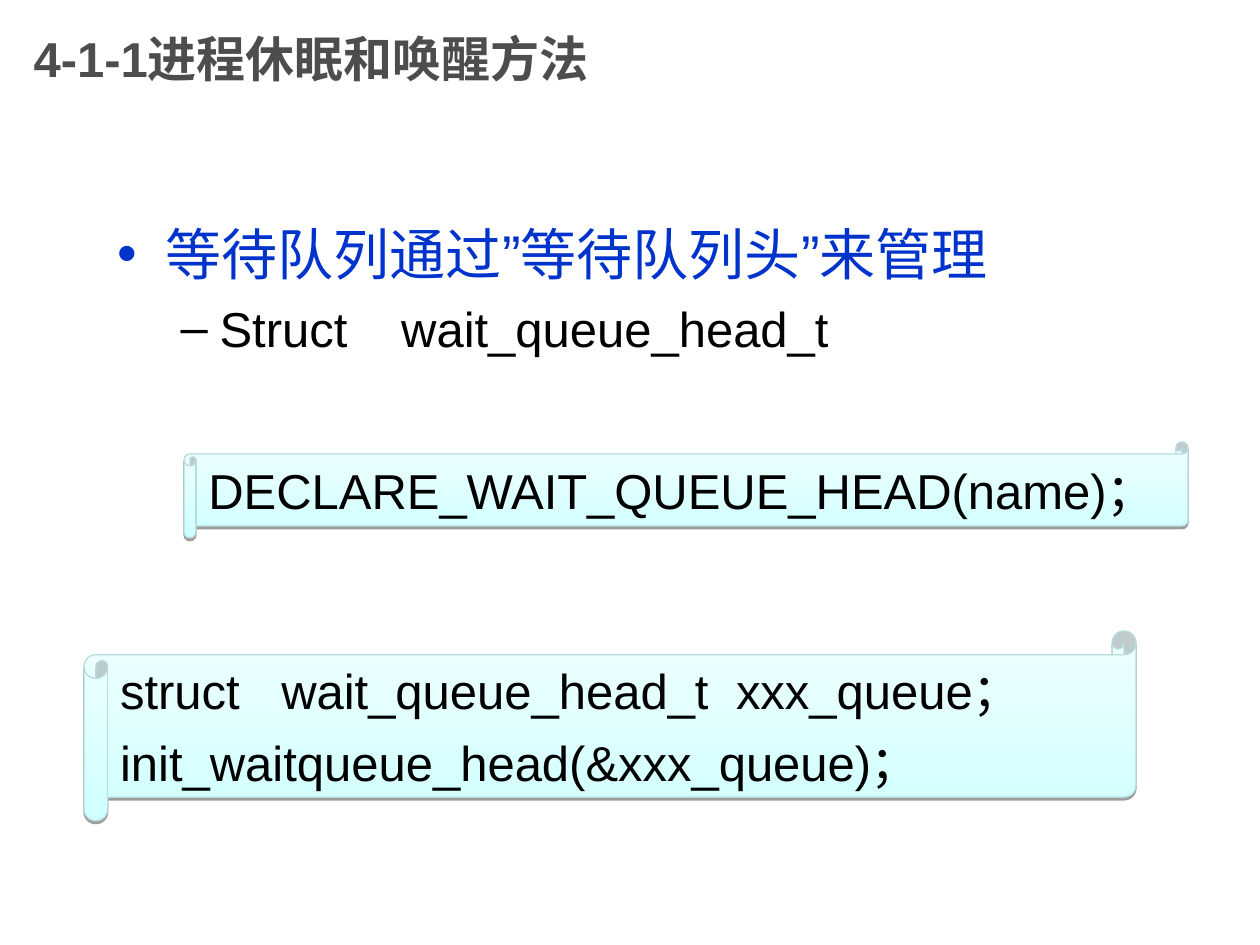
from lxml.etree import SubElement
from pptx import Presentation
from pptx.dml.color import RGBColor
from pptx.enum.shapes import MSO_SHAPE
from pptx.enum.text import MSO_ANCHOR, MSO_AUTO_SIZE, PP_ALIGN
from pptx.oxml.ns import qn
from pptx.util import Emu, Pt

PX = 914400 // 126
FONT = "Arial"
COLORS = {
    "title": "4D4D4D",
    "topic": "0033CC",
    "text": "000000",
    "scroll_bottom": "CFFFFF",
    "scroll_top": "F0FFFF",
    "scroll_line": "B6DCDF",
}

TITLE = ["4-1-1进程休眠和唤醒方法"]
TITLE_BOX = (21, 0, 945, 116)
TITLE_FORMAT = {"size": 28, "color": "title", "bold": True}

BODY_BOX = (105, 155, 1071, 651)
BODY_TOP_INSET = 64
BODY = [
    (["等待队列通过”等待队列头”来管理"],
     {"size": 32, "color": "topic", "before": 8, "level": 0, "indent": (48, -48)}),
    (["Struct", 23, "wait_queue_head_t"],
     {"size": 28, "color": "text", "before": 7, "level": 1, "indent": (102, -39)}),
]

SCROLLS = [
    ((184, 442, 1004, 96), [["DECLARE_WAIT_QUEUE_HEAD(name)；"]]),
    ((84, 631, 1052, 190), [
        ["struct", 16, "wait_queue_head_t", 8, "xxx_queue；"],
        ["init_waitqueue_head(&xxx_queue)；"],
    ]),
]
SCROLL_FORMAT = {"size": 28, "color": "text", "before": 7}


def px(value):
    return Emu(value * PX)


def rgb(name):
    return RGBColor.from_string(COLORS[name])


def place(shape, box):
    for name, value in zip(("left", "top", "width", "height"), box):
        setattr(shape, name, px(value))


def format_frame(frame, **values):
    settings = {"word_wrap": True, "auto_size": MSO_AUTO_SIZE.NONE, **values}
    for name, value in settings.items():
        setattr(frame, name, value)


def write(paragraph, pieces, style):
    paragraph.alignment = PP_ALIGN.LEFT
    paragraph.space_before = Pt(style.get("before", 0))
    paragraph.level = style.get("level", 0)
    if "indent" in style:
        properties = paragraph._p.get_or_add_pPr()
        for name, value in zip(("marL", "indent"), style["indent"]):
            properties.set(name, str(px(value)))
    for piece in pieces:
        run = paragraph.add_run()
        is_gap = isinstance(piece, int)
        run.text = " " if is_gap else piece
        values = {"name": FONT, "size": Pt(style["size"]), "bold": style.get("bold", False)}
        for name, value in values.items():
            setattr(run.font, name, value)
        run.font.color.rgb = rgb(style["color"])
        properties = run._r.get_or_add_rPr()
        SubElement(properties, qn("a:ea"), typeface=FONT)
        if is_gap:
            properties.set("spc", str(piece * 100))


def write_lines(frame, lines):
    for index, (pieces, style) in enumerate(lines):
        paragraph = frame.add_paragraph() if index else frame.paragraphs[0]
        write(paragraph, pieces, style)


def add_shadow(shape):
    effects = SubElement(shape._element.spPr, qn("a:effectLst"))
    shadow = SubElement(effects, qn("a:outerShdw"), blurRad="0", dist=str(Pt(1.6)),
                        dir="5400000", rotWithShape="0")
    color = SubElement(shadow, qn("a:srgbClr"), val=COLORS["text"])
    SubElement(color, qn("a:alpha"), val="38000")


def add_scroll(slide, box, lines):
    shape = slide.shapes.add_shape(MSO_SHAPE.HORIZONTAL_SCROLL, *map(px, box))
    shape.adjustments[0] = 0.125
    shape.fill.gradient()
    shape.fill.gradient_angle = 90
    for stop, name in zip(shape.fill.gradient_stops, ("scroll_bottom", "scroll_top")):
        stop.color.rgb = rgb(name)
    shape.line.color.rgb = rgb("scroll_line")
    shape.line.width = Pt(0.75)
    add_shadow(shape)
    format_frame(shape.text_frame, vertical_anchor=MSO_ANCHOR.MIDDLE)
    write_lines(shape.text_frame, [(line, SCROLL_FORMAT) for line in lines])


def main():
    presentation = Presentation()
    presentation.slide_width, presentation.slide_height = px(1260), px(945)
    slide = presentation.slides.add_slide(presentation.slide_layouts[1])

    title, body = slide.placeholders
    place(title, TITLE_BOX)
    format_frame(title.text_frame, vertical_anchor=MSO_ANCHOR.MIDDLE)
    write_lines(title.text_frame, [(TITLE, TITLE_FORMAT)])

    place(body, BODY_BOX)
    format_frame(body.text_frame, vertical_anchor=MSO_ANCHOR.TOP,
                 margin_top=px(BODY_TOP_INSET))
    write_lines(body.text_frame, BODY)

    for box, lines in SCROLLS:
        add_scroll(slide, box, lines)
    presentation.save("out.pptx")


if __name__ == "__main__":
    main()
